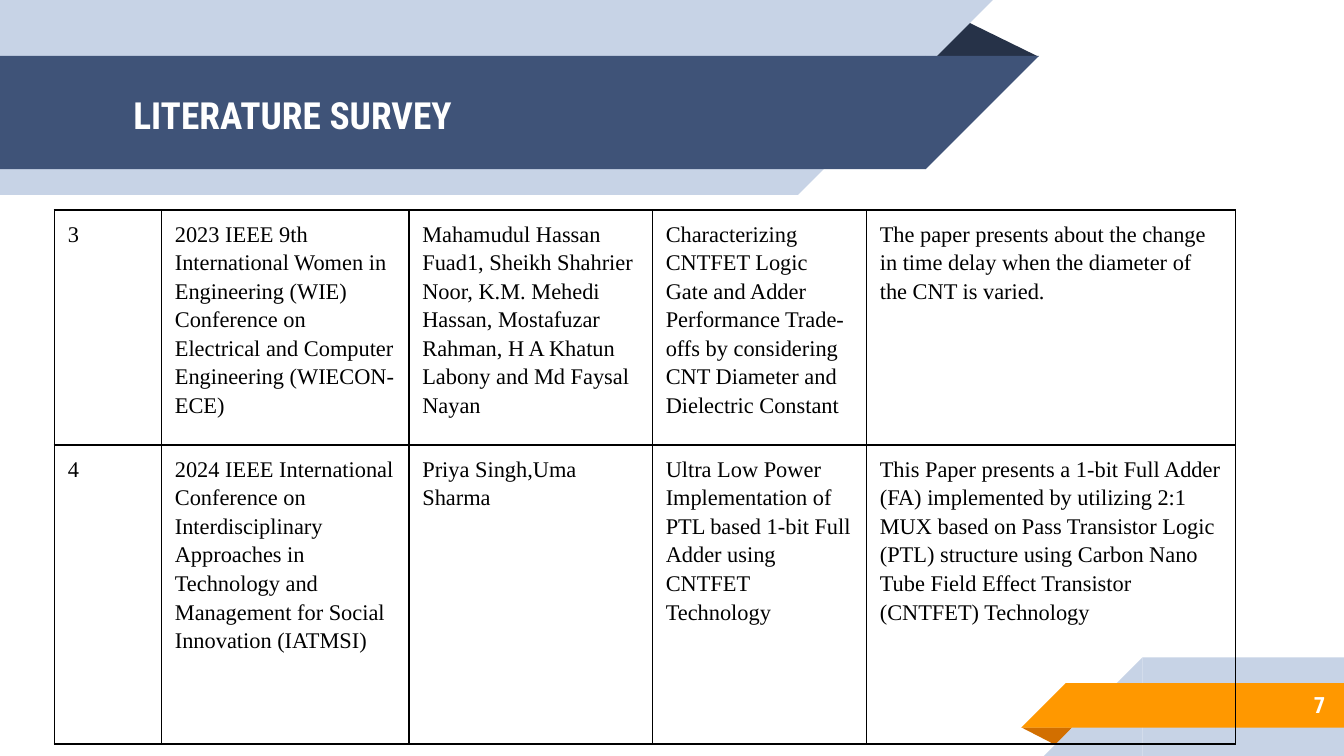
from lxml.etree import SubElement
from pptx import Presentation
from pptx.dml.color import RGBColor
from pptx.enum.shapes import MSO_SHAPE
from pptx.enum.text import MSO_ANCHOR, PP_ALIGN
from pptx.oxml.ns import qn
from pptx.util import Pt


class Theme:
    navy, ink = "3F5378", "263248"
    pale, orange, rust = "C7D3E6", "FF9800", "D26F00"
    white, black = "FFFFFF", "000000"
    head_font, body_font = "Roboto Condensed", "Times New Roman"
    title_size, body_size = 20, 12


def add_piece(kind, x, y, w, h, color, rotation=0):
    sp = s.shapes.add_shape(kind, Pt(x), Pt(y), Pt(w), Pt(h))
    sp.rotation = rotation
    sp.shadow.inherit = False
    sp.fill.solid()
    sp.fill.fore_color.rgb = RGBColor.from_string(color)
    sp.line.fill.background()
    return sp


def style(p, name, size, color, bold=False):
    p.font.name, p.font.size, p.font.bold = name, Pt(size), bold
    p.font.color.rgb = RGBColor.from_string(color)


prs = Presentation()
prs.slide_width, prs.slide_height = Pt(720), Pt(405)
s = prs.slides.add_slide(prs.slide_layouts[5])

# Folds behind the ribbons
for x, y, w, h, color, rotation in [
    (495.5, 10.2, 61, 20.2, Theme.ink, 0),
    (547.2, 389.7, 27.3, 9.5, Theme.rust, 180),
]:
    fold = add_piece(MSO_SHAPE.ISOSCELES_TRIANGLE, x, y, w, h, color, rotation)
    fold.adjustments[0] = 0.324

# Ribbons: a rectangle with a 45-degree end, top ones to the right, bottom ones to the left
for x, y, w, h, color, top in [
    (0, 0, 427.5, 104.4, Theme.pale, True),
    (0, 30, 496, 60.6, Theme.navy, True),
    (612, 352.2, 108, 52.8, Theme.pale, False),
    (571, 366, 149, 23.8, Theme.orange, False),
]:
    add_piece(MSO_SHAPE.RECTANGLE, x, y, w, h, color)
    end_x = x + w if top else x - h
    add_piece(MSO_SHAPE.RIGHT_TRIANGLE, end_x, y, h, h, color, 90 if top else 270)

# Title, brought in front of its ribbon
title = s.shapes.title
title.left, title.top, title.width, title.height = Pt(64.2), Pt(31), Pt(414), Pt(60.5)
s.shapes._spTree.append(title._element)
number = s.shapes.add_textbox(Pt(600), Pt(365), Pt(117), Pt(25.5))

# Title and page number text
for sp, text, size, align in [
    (title, "LITERATURE SURVEY", Theme.title_size, PP_ALIGN.LEFT),
    (number, "7", Theme.body_size, PP_ALIGN.RIGHT),
]:
    tf = sp.text_frame
    tf.word_wrap = True
    tf.vertical_anchor = MSO_ANCHOR.MIDDLE
    tf.margin_left = tf.margin_right = tf.margin_top = tf.margin_bottom = Pt(7.2)
    p = tf.paragraphs[0]
    p.text, p.alignment = text, align
    style(p, Theme.head_font, size, Theme.white, True)

# Survey table
rows = [
    ["3",
     "2023 IEEE 9th International Women in Engineering (WIE) Conference on "
     "Electrical and Computer Engineering (WIECON-ECE)",
     "Mahamudul Hassan Fuad1, Sheikh Shahrier Noor, K.M. Mehedi Hassan, "
     "Mostafuzar Rahman, H A Khatun Labony and Md Faysal Nayan",
     "Characterizing CNTFET Logic Gate and Adder Performance Trade-offs by "
     "considering CNT Diameter and Dielectric Constant",
     "The paper presents about the change in time delay when the diameter of "
     "the CNT is varied."],
    ["4",
     "2024 IEEE International Conference on Interdisciplinary Approaches in "
     "Technology and Management for Social Innovation (IATMSI)",
     "Priya Singh,Uma Sharma",
     "Ultra Low Power Implementation of PTL based 1-bit Full Adder using CNTFET Technology",
     "This Paper presents a 1-bit Full Adder (FA) implemented by utilizing 2:1 MUX "
     "based on Pass Transistor Logic (PTL) structure using Carbon Nano Tube Field "
     "Effect Transistor (CNTFET) Technology"],
]
col_widths = [57.3, 132.6, 130.4, 114.7, 197.7]
row_heights = [126, 160]
table = s.shapes.add_table(len(rows), len(col_widths), Pt(29.2), Pt(112.5),
                           Pt(sum(col_widths)), Pt(sum(row_heights))).table
table.first_row = table.horz_banding = False
for column, width in zip(table.columns, col_widths):
    column.width = Pt(width)
for row, height, texts in zip(table.rows, row_heights, rows):
    row.height = Pt(height)
    for cell, text in zip(row.cells, texts):
        cell.margin_top = cell.margin_bottom = Pt(4.5)
        p = cell.text_frame.paragraphs[0]
        p.text = text
        p.line_spacing, p.space_before, p.space_after = 1.15, Pt(12), Pt(12)
        style(p, Theme.body_font, Theme.body_size, Theme.black)
        # Borders come before the fill in the cell properties
        tc_pr = cell._tc.get_or_add_tcPr()
        for side in ("a:lnL", "a:lnR", "a:lnT", "a:lnB"):
            ln = SubElement(tc_pr, qn(side), w=str(Pt(1)))
            fill = SubElement(ln, qn("a:solidFill"))
            SubElement(fill, qn("a:srgbClr"), val=Theme.black)
        cell.fill.background()

prs.save("out.pptx")
